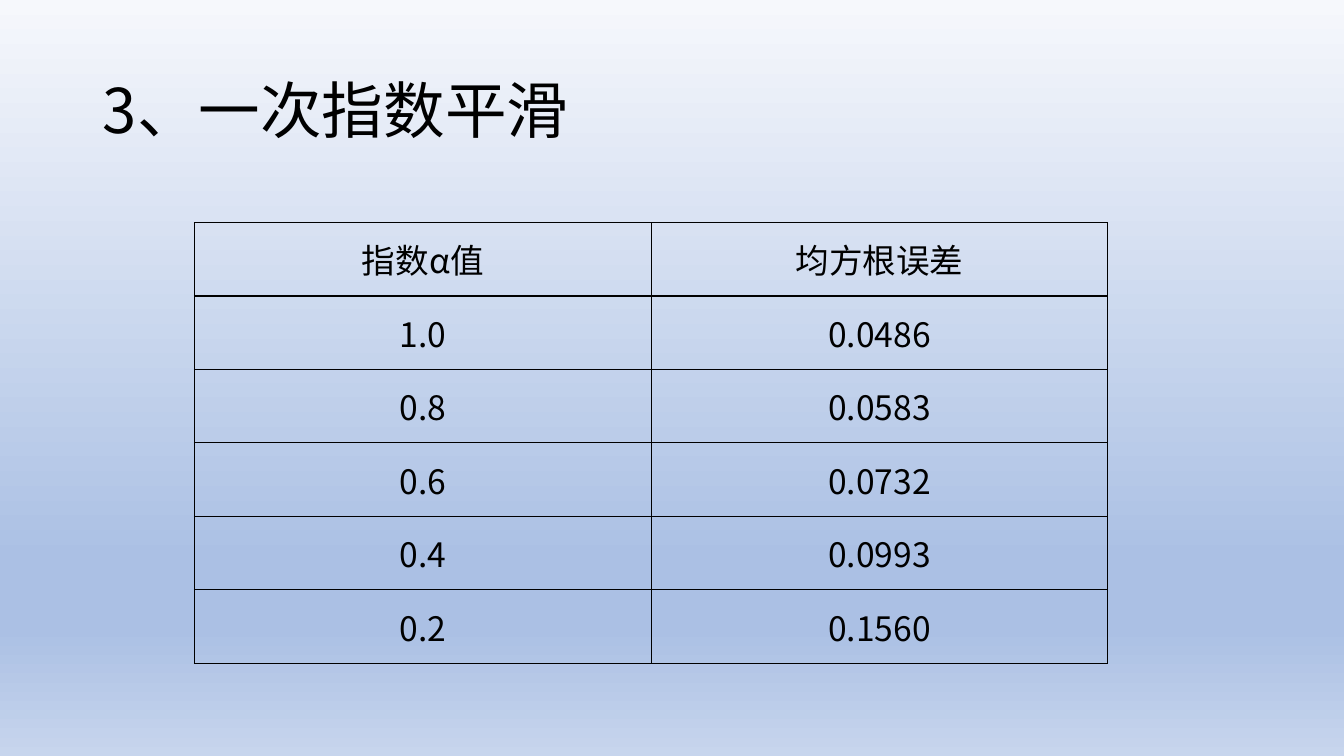
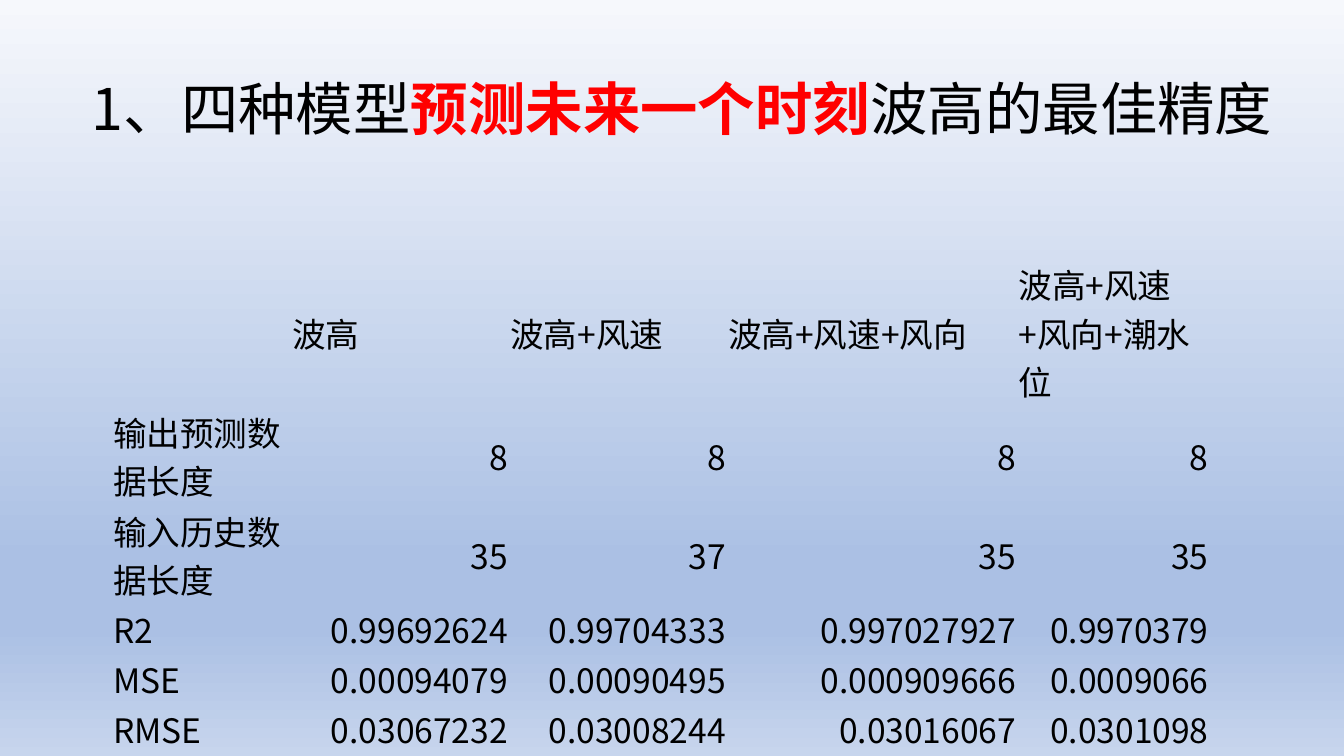
from lxml.etree import SubElement
from pptx import Presentation
from pptx.dml.color import RGBColor as RGB
from pptx.enum.text import MSO_ANCHOR as Anchor, MSO_AUTO_SIZE as Fit, PP_ALIGN as Align
from pptx.oxml.ns import qn
from pptx.util import Cm, Pt

COLORS = {"text": "000000", "accent": "FF0000", "line": "000000",
          "sky": "F6F8FC", "sea": "ABC0E4", "mist": "C7D5ED"}
GRADIENT = [(0, "sky"), (74, "sea"), (83, "sea"), (100, "mist")]
NO_STYLE = "{2D5ABB26-0587-4C30-8999-92F81FD0307C}"
SIDES = ("a:lnL", "a:lnR", "a:lnT", "a:lnB")


def apply(obj, values):
    for name, value in values.items():
        setattr(obj, name, value)


def add_color(parent, color):
    SubElement(parent, qn("a:srgbClr"), val=COLORS[color])


class Deck:
    font = "Noto Sans CJK SC"
    title_size = Pt(44)
    table_size = Pt(24)

    def __init__(self):
        self.prs = Presentation()
        apply(self.prs, {"slide_width": Cm(33.87), "slide_height": Cm(19.05)})
        self.s = None
        self.background()

    def background(self):
        master = self.prs.slide_master
        fill = master.background.fill
        fill.gradient()
        fill.gradient_angle = 270
        stops = master.element.find(".//" + qn("a:gsLst"))
        for stop in list(stops):
            stops.remove(stop)
        for pos, color in GRADIENT:
            add_color(SubElement(stops, qn("a:gs"), pos=str(pos * 1000)), color)

    def slide(self):
        self.s = self.prs.slides.add_slide(self.prs.slide_layouts[5])

    def run(self, p, text, size, color="text", bold=False):
        r = p.add_run()
        r.text = text
        apply(r.font, {"name": self.font, "size": size, "bold": bold})
        r.font.color.rgb = RGB.from_string(COLORS[color])
        SubElement(r.font._element, qn("a:ea"), typeface=self.font)

    def title(self, left, width, runs):
        sp = self.s.shapes.title
        apply(sp, {"left": Cm(left), "top": Cm(1.02), "width": Cm(width), "height": Cm(3.68)})
        tf = sp.text_frame
        apply(tf, {"word_wrap": True, "vertical_anchor": Anchor.MIDDLE,
                   "auto_size": Fit.TEXT_TO_FIT_SHAPE})
        p = tf.paragraphs[0]
        apply(p, {"alignment": Align.LEFT, "line_spacing": 0.9})
        for text, *look in runs:
            self.run(p, text, self.title_size, *look)

    def border(self, cell):
        tc_pr = cell._tc.get_or_add_tcPr()
        for i, side in enumerate(SIDES):
            ln = tc_pr.makeelement(qn(side), {"w": str(Pt(1))})
            add_color(SubElement(ln, qn("a:solidFill")), "line")
            tc_pr.insert(i, ln)

    def table(self, left, top, widths, heights, rows, align, margins, lines=False):
        frame = self.s.shapes.add_table(len(rows), len(widths), Cm(left), Cm(top),
                                        Cm(sum(widths)), Cm(sum(heights)))
        tbl = frame.table
        apply(tbl, {"first_row": False, "horz_banding": False})
        frame.element.find(".//" + qn("a:tableStyleId")).text = NO_STYLE
        for col, width in zip(tbl.columns, widths):
            col.width = Cm(width)
        for row, height in zip(tbl.rows, heights):
            row.height = Cm(height)
        sides = ("margin_left", "margin_top", "margin_right", "margin_bottom")
        fmt = {side: Cm(m) for side, m in zip(sides, margins)}
        fmt["vertical_anchor"] = Anchor.MIDDLE
        for i, texts in enumerate(rows):
            for j, text in enumerate(texts):
                cell = tbl.cell(i, j)
                apply(cell, fmt)
                cell.fill.background()
                if lines:
                    self.border(cell)
                if text:
                    p = cell.text_frame.paragraphs[0]
                    p.alignment = align(i, j)
                    self.run(p, text, self.table_size)
        return tbl


def smoothing_slide(deck):
    rows = [("指数α值", "均方根误差"), ("1.0", "0.0486"), ("0.8", "0.0583"),
            ("0.6", "0.0732"), ("0.4", "0.0993"), ("0.2", "0.1560")]
    deck.slide()
    deck.title(2.34, 29.21, [("3、一次指数平滑",)])
    deck.table(4.9, 5.61, [11.51] * 2, [1.85] * len(rows), rows,
               lambda i, j: Align.CENTER, (0.18, 0, 0.18, 0), lines=True)


def accuracy_slide(deck):
    rows = [
        ("",) * 5,
        ("", "波高", "波高+风速", "波高+风速+风向", "波高+风速+风向+潮水位"),
        ("输出预测数据长度", "8", "8", "8", "8"),
        ("输入历史数据长度", "35", "37", "35", "35"),
        ("R2", "0.99692624", "0.99704333", "0.997027927", "0.9970379"),
        ("MSE", "0.00094079", "0.00090495", "0.000909666", "0.0009066"),
        ("RMSE", "0.03067232", "0.03008244", "0.03016067", "0.0301098"),
    ]
    deck.slide()
    deck.title(2.06, 30.58, [("1、四种模型",), ("预测未来一个时刻", "accent", True),
                             ("波高的最佳精度",)])
    tbl = deck.table(2.82, 5.18, [4.52, 5.49, 5.49, 7.32, 4.85],
                     [1.32, 3.73, 2.49, 2.49] + [1.24] * 3, rows,
                     lambda i, j: Align.RIGHT if i > 1 and j else Align.LEFT,
                     (0.03, 0.03, 0.03, 0))
    tbl.cell(0, 0).merge(tbl.cell(0, 4))


def main():
    deck = Deck()
    smoothing_slide(deck)
    accuracy_slide(deck)
    deck.prs.save("out.pptx")


if __name__ == "__main__":
    main()
